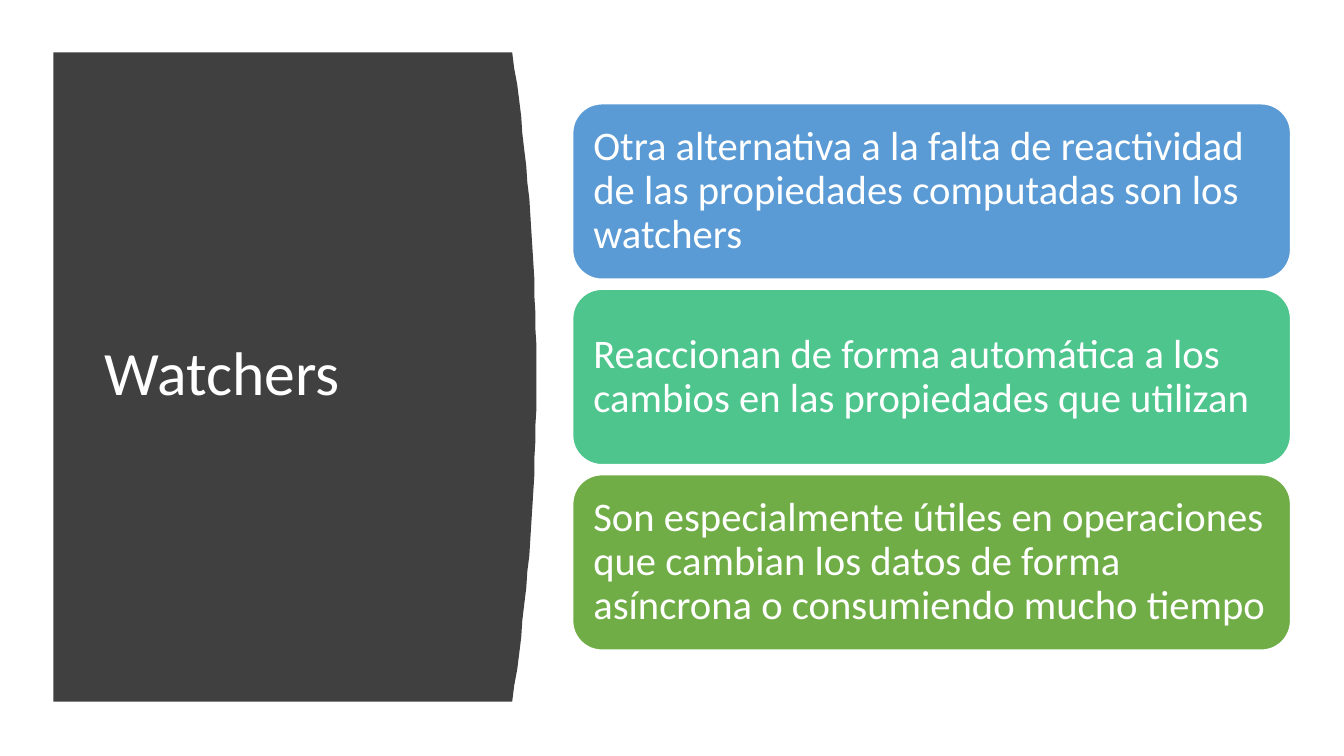
from pptx import Presentation
from pptx import util as u
from pptx.dml.color import RGBColor
from pptx.enum import shapes, text

PX = 9144  # EMU per px, 100 px to the inch
FONT = "Calibri"
WHITE = "FFFFFF"

CARDS = [
    ("Otra alternativa a la falta de reactividad de las propiedades "
     "computadas son los watchers", "5B9BD5"),
    ("Reaccionan de forma automática a los cambios en las propiedades "
     "que utilizan", "4DC58D"),
    ("Son especialmente útiles en operaciones que cambian los datos de "
     "forma asíncrona o consumiendo mucho tiempo", "70AD47"),
]


def px(*vals):
    return [u.Emu(v * PX) for v in vals]


def paint(fill, color):
    fill.solid()
    fill.fore_color.rgb = RGBColor.from_string(color)


def write(shape, words, size):
    """Fill a shape with one left-aligned, vertically centred paragraph."""
    frame = shape.text_frame
    frame.text = words
    frame.word_wrap = True
    frame.vertical_anchor = text.MSO_ANCHOR.MIDDLE
    para = frame.paragraphs[0]
    para.alignment = text.PP_ALIGN.LEFT
    para.line_spacing = 0.9
    font = para.runs[0].font
    font.name = FONT
    font.size = u.Pt(size)
    paint(font.fill, WHITE)
    return frame


def add_panel(slide, left, top, edge, low, bulge, steps=40):
    """Draw a block whose right side bows outward as a parabola."""
    points = []
    for i in range(steps + 1):
        t = 2 * i / steps - 1
        points.append((edge + bulge * (1 - t * t),
                       top + (low - top) * i / steps))
    pen = slide.shapes.build_freeform(left, top, scale=PX)
    pen.add_line_segments(points + [(left, low)], close=True)
    panel = pen.convert_to_shape()
    panel.shadow.inherit = False
    panel.line.fill.background()
    paint(panel.fill, "404040")


def add_title(slide, words, *box):
    write(slide.shapes.add_textbox(*px(*box)), words, 44)


def add_card(slide, words, color, *box):
    card = slide.shapes.add_shape(
        shapes.MSO_SHAPE.ROUNDED_RECTANGLE, *px(*box))
    card.shadow.inherit = False
    paint(card.fill, color)
    paint(card.line.fill, WHITE)
    card.line.width = u.Pt(1)
    frame = write(card, words, 29)
    frame.margin_left = frame.margin_right = u.Emu(12 * PX)
    frame.margin_top = frame.margin_bottom = u.Emu(12 * PX)


def main():
    prs = Presentation()
    prs.slide_width, prs.slide_height = px(1333, 750)
    slide = prs.slides.add_slide(prs.slide_layouts[6])
    add_panel(slide, 53, 52, 508, 696, 24)
    add_title(slide, "Watchers", 94, 111, 374, 524)
    high, gap = 174, 10
    for i, (words, color) in enumerate(CARDS):
        add_card(slide, words, color, 568, 103 + i * (high + gap), 712, high)
    prs.save("out.pptx")


if __name__ == "__main__":
    main()
